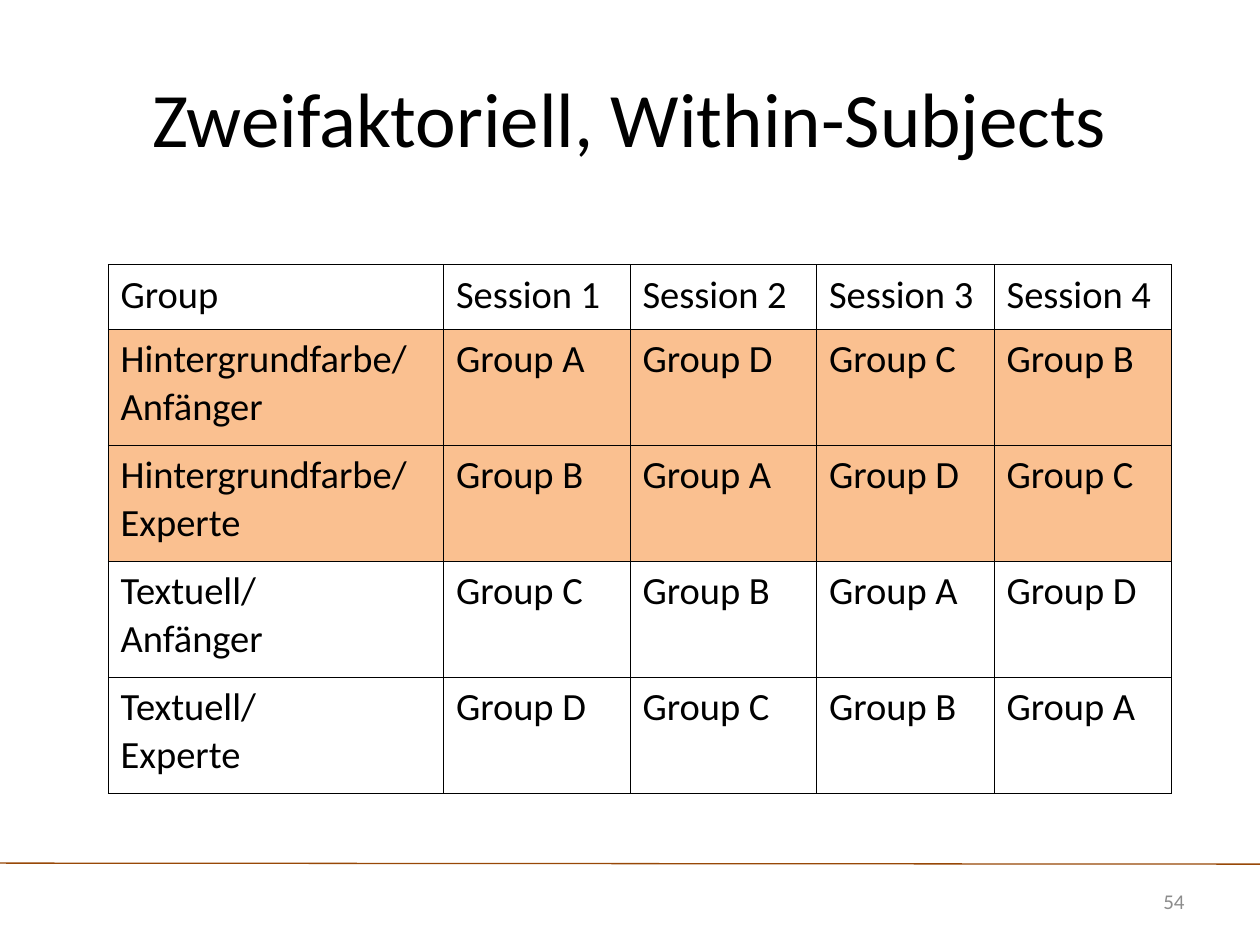
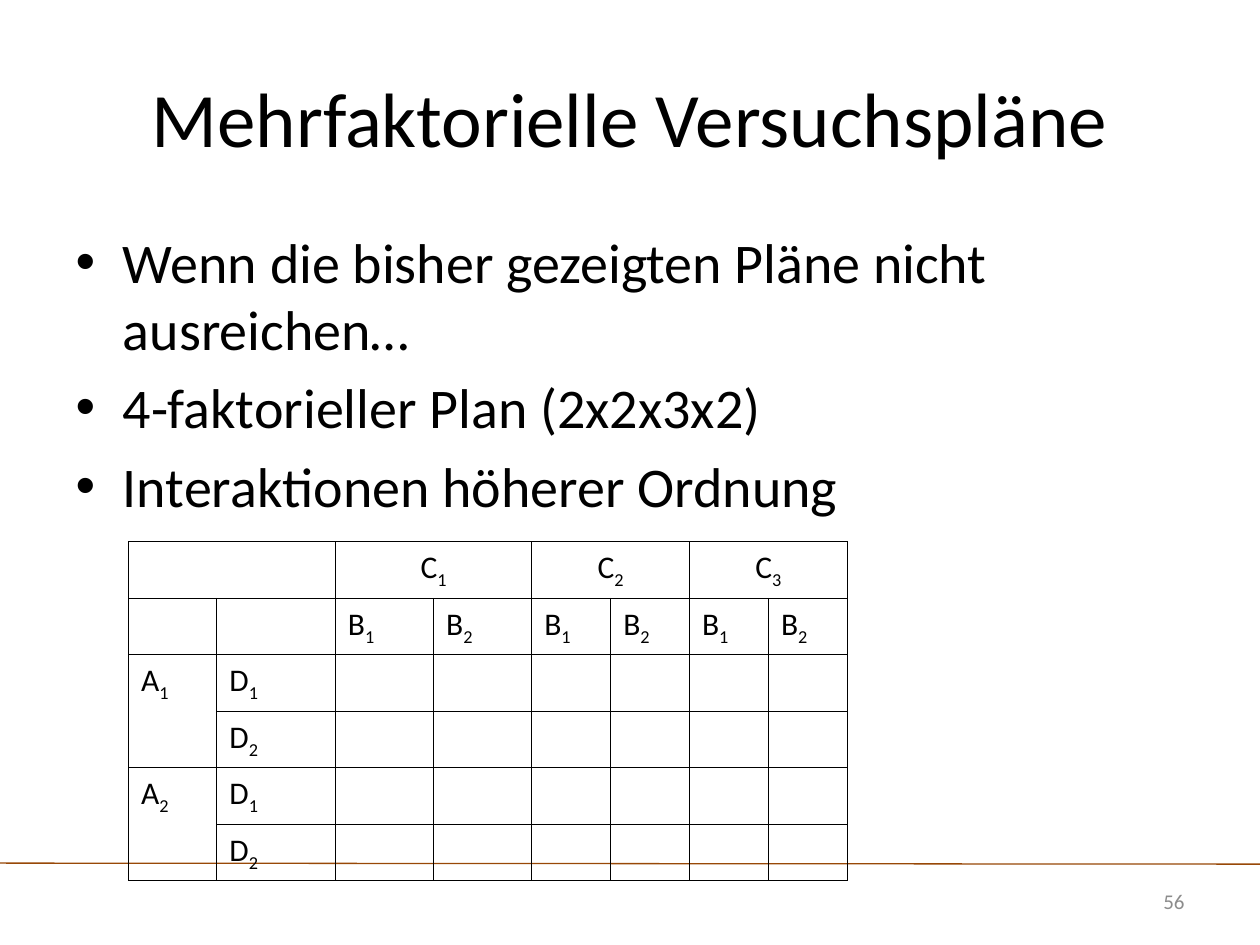
from itertools import product

from lxml.etree import SubElement
from pptx import Presentation
from pptx.dml.color import RGBColor
from pptx.enum.shapes import MSO_CONNECTOR
from pptx.enum.text import MSO_ANCHOR, PP_ALIGN
from pptx.oxml import parse_xml
from pptx.oxml.ns import nsdecls, qn
from pptx.util import Cm, Pt

COLORS = {
    "text": "000000",
    "page_number": "8C8C8C",
    "footer_line": "984807",
    "highlight": "FAC090",
}
FONT = "Calibri"
TITLE_BOX = (1.27, 0.76, 22.86, 3.18)
BODY_BOX = (1.27, 4.45, 22.86, 12.57)
PAGE_NUMBER_BOX = (21.82, 17.65, 2.31, 1.02)
BORDER_WIDTH = Pt(0.45)
TITLE_AND_CONTENT, TITLE_ONLY = 1, 5


def color(name):
    return RGBColor.from_string(COLORS[name])


def write_text(paragraph, text, *, size, color_name="text", align=None, line_spacing=None):
    if align is not None:
        paragraph.alignment = align
    if line_spacing is not None:
        paragraph.line_spacing = line_spacing
    base, _, subscript = text.partition("_")
    for part, baseline in ((base, None), (subscript, "-25000")):
        if not part:
            continue
        run = paragraph.add_run()
        run.text = part
        run.font.name = FONT
        run.font.size = Pt(size)
        run.font.color.rgb = color(color_name)
        if baseline:
            run.font._element.set("baseline", baseline)


def write_lines(text_frame, lines, **text_format):
    for index, line in enumerate(lines):
        paragraph = text_frame.paragraphs[0] if index == 0 else text_frame.add_paragraph()
        write_text(paragraph, line, **text_format)
    text_frame.paragraphs[0].space_before = Pt(0)


def place(shape, box):
    shape.left, shape.top, shape.width, shape.height = map(Cm, box)


def add_footer_line(presentation, slide):
    line = slide.shapes.add_connector(
        MSO_CONNECTOR.STRAIGHT, 0, Cm(17.4), presentation.slide_width, Cm(17.42)
    )
    line.line.color.rgb = color("footer_line")
    line.line.width = Pt(0.75)
    SubElement(line.element.spPr, qn("a:effectLst"))
    line.element.nvCxnSpPr.cNvPr.set("id", "100")
    presentation.slide_master.shapes.element.append(line.element)


def add_page_number(slide, box, number):
    shape = slide.shapes.add_textbox(*map(Cm, box))
    shape.text_frame.word_wrap = True
    shape.text_frame.vertical_anchor = MSO_ANCHOR.MIDDLE
    write_lines(shape.text_frame, [str(number)], size=12,
                color_name="page_number", align=PP_ALIGN.RIGHT)


def add_titled_slide(presentation, layout_index, title, number):
    slide = presentation.slides.add_slide(presentation.slide_layouts[layout_index])
    place(slide.shapes.title, TITLE_BOX)
    slide.shapes.title.text_frame.vertical_anchor = MSO_ANCHOR.MIDDLE
    write_lines(slide.shapes.title.text_frame, [title], size=44, align=PP_ALIGN.CENTER)
    add_page_number(slide, PAGE_NUMBER_BOX, number)
    return slide


def format_cell(cell, fill_name=None):
    if fill_name:
        cell.fill.solid()
        cell.fill.fore_color.rgb = color(fill_name)
    else:
        cell.fill.background()
    properties = cell._tc.get_or_add_tcPr()
    for index, side in enumerate("LRTB"):
        properties.insert(index, parse_xml(
            f'<a:ln{side} {nsdecls("a")} w="{BORDER_WIDTH}"><a:solidFill>'
            f'<a:srgbClr val="{COLORS["text"]}"/></a:solidFill></a:ln{side}>'
        ))


def add_grid(slide, left, top, column_widths, row_heights, highlighted_rows=()):
    table = slide.shapes.add_table(
        len(row_heights), len(column_widths), Cm(left), Cm(top),
        Cm(sum(column_widths)), Cm(sum(row_heights)),
    ).table
    table.first_row = table.horz_banding = False
    for column, width in zip(table.columns, column_widths):
        column.width = Cm(width)
    for row_index, (row, height) in enumerate(zip(table.rows, row_heights)):
        row.height = Cm(height)
        for cell in row.cells:
            format_cell(cell, "highlight" if row_index in highlighted_rows else None)
    return table


def add_session_table(slide, left, top):
    conditions = list(product(("Hintergrundfarbe/", "Textuell/"), ("Anfänger", "Experte")))
    groups = "ABCD"
    rows = [[["Group"]] + [[f"Session {session}"] for session in range(1, 5)]]
    for index, condition in enumerate(conditions):
        rows.append([condition] + [
            [f"Group {groups[(index - session) % len(groups)]}"]
            for session in range(len(groups))
        ])
    table = add_grid(slide, left, top, [6.76, 3.76, 3.76, 3.58, 3.58],
                     [1.3] + [2.34] * 4, highlighted_rows=(1, 2))
    for row, texts in zip(table.rows, rows):
        for cell, lines in zip(row.cells, texts):
            write_lines(cell.text_frame, lines, size=22, line_spacing=1.02)


def add_factor_table(slide, left, top):
    table = add_grid(slide, left, top, [1.78, 2.39, 1.98, 1.98] + [1.59] * 4, [1.13] * 6)

    def label(row, column, text, align=PP_ALIGN.LEFT):
        write_lines(table.cell(row, column).text_frame, [text], size=18,
                    line_spacing=1.02, align=align)

    table.cell(0, 0).merge(table.cell(0, 1))
    for level in (1, 2, 3):
        column = 2 * level
        table.cell(0, column).merge(table.cell(0, column + 1))
        label(0, column, f"C_{level}", PP_ALIGN.CENTER)
        for offset in (0, 1):
            label(1, column + offset, f"B_{offset + 1}")
    for level in (1, 2):
        row = 2 * level
        table.cell(row, 0).merge(table.cell(row + 1, 0))
        label(row, 0, f"A_{level}")
        for offset in (0, 1):
            label(row + offset, 1, f"D_{offset + 1}")


def build_within_subjects_slide(presentation):
    slide = add_titled_slide(presentation, TITLE_ONLY, "Zweifaktoriell, Within-Subjects", 54)
    add_session_table(slide, 2.18, 5.33)
    return slide


def build_multifactor_slide(presentation):
    slide = add_titled_slide(presentation, TITLE_AND_CONTENT, "Mehrfaktorielle Versuchspläne", 56)
    body = slide.placeholders[1]
    place(body, BODY_BOX)
    write_lines(body.text_frame, [
        "Wenn die bisher gezeigten Pläne nicht ausreichen…",
        "4-faktorieller Plan (2x2x3x2)",
        "Interaktionen höherer Ordnung",
    ], size=32)
    add_factor_table(slide, 2.59, 10.92)


def main():
    presentation = Presentation()
    presentation.slide_width, presentation.slide_height = Cm(25.4), Cm(19.05)
    first_slide = build_within_subjects_slide(presentation)
    add_footer_line(presentation, first_slide)
    build_multifactor_slide(presentation)
    presentation.save("out.pptx")


if __name__ == "__main__":
    main()
